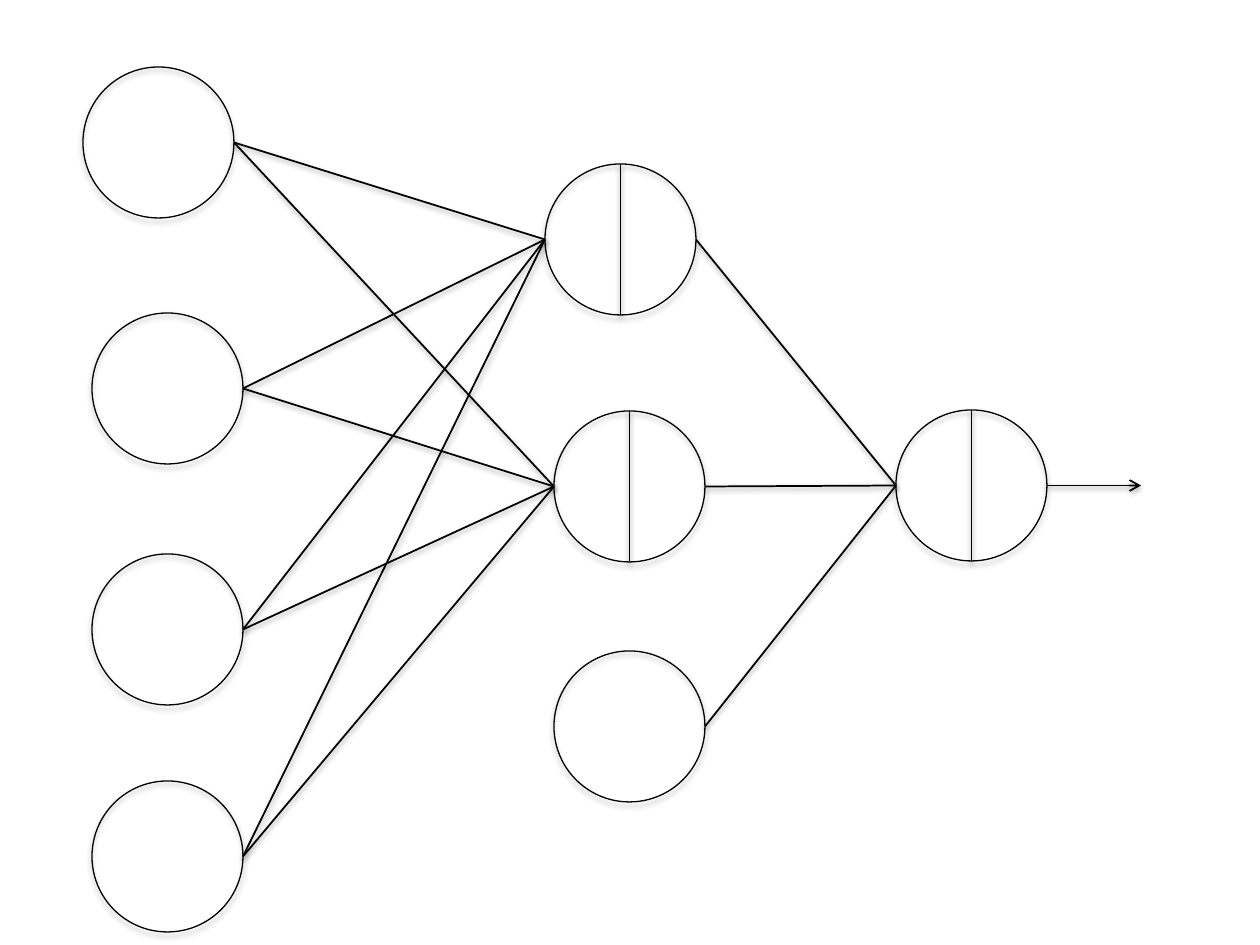
"""Draw a feed-forward network with four inputs, three hidden nodes and one output."""
from dataclasses import dataclass

from lxml import etree
from pptx import Presentation
from pptx import util as u
from pptx.dml.color import RGBColor
from pptx.enum import shapes
from pptx.oxml.ns import qn

INPUTS = [(83, 67), (92, 313), (92, 554), (92, 781)]
HIDDEN = [(545, 164), (554, 411)]
BIAS = (554, 651)
OUTPUT = (896, 410)
DIAMETER = 151
ARROW_LENGTH = 94
SLIDE_SIZE = (1260, 945)
PX = u.Inches(1) / 126


@dataclass(frozen=True)
class Theme:
    ink: str = "000000"
    node_line: float = 0.75
    link_line: float = 1
    shadow_blur: float = 3.1
    node_shadow: tuple = (1.8, 35)
    link_shadow: tuple = (1.6, 38)


THEME = Theme()


def emu(px):
    return u.Emu(round(px * PX))


def style(item, width, shadow):
    distance, opacity = shadow
    item.line.color.rgb = RGBColor.from_string(THEME.ink)
    item.line.width = u.Pt(width)
    effects = etree.SubElement(item._element.spPr, qn("a:effectLst"))
    outer = etree.SubElement(
        effects, qn("a:outerShdw"), blurRad=str(u.Pt(THEME.shadow_blur)),
        dist=str(u.Pt(distance)), dir="5400000", rotWithShape="0")
    color = etree.SubElement(outer, qn("a:srgbClr"), val=THEME.ink)
    etree.SubElement(color, qn("a:alpha"), val=str(opacity * 1000))


def add_node(slide, corner):
    left, top = map(emu, corner)
    node = slide.shapes.add_shape(
        shapes.MSO_SHAPE.OVAL, left, top, emu(DIAMETER), emu(DIAMETER))
    node.fill.background()
    style(node, THEME.node_line, THEME.node_shadow)


def add_link(slide, start, end):
    link = slide.shapes.add_connector(
        shapes.MSO_CONNECTOR.STRAIGHT, *map(emu, (*start, *end)))
    style(link, THEME.link_line, THEME.link_shadow)
    return link


def anchor(corner, across, down):
    return corner[0] + across * DIAMETER, corner[1] + down * DIAMETER


def connect(slide, source, target):
    add_link(slide, anchor(source, 1, 0.5), anchor(target, 0, 0.5))


def main():
    deck = Presentation()
    deck.slide_width, deck.slide_height = map(emu, SLIDE_SIZE)
    slide = deck.slides.add_slide(deck.slide_layouts[6])

    for corner in [*INPUTS, *HIDDEN, BIAS, OUTPUT]:
        add_node(slide, corner)
    for corner in [*HIDDEN, OUTPUT]:
        add_link(slide, anchor(corner, 0.5, 0), anchor(corner, 0.5, 1))
    for source in INPUTS:
        for target in HIDDEN:
            connect(slide, source, target)
    for source in [*HIDDEN, BIAS]:
        connect(slide, source, OUTPUT)

    start = anchor(OUTPUT, 1, 0.5)
    arrow = add_link(slide, start, (start[0] + ARROW_LENGTH, start[1]))
    etree.SubElement(arrow.line._get_or_add_ln(), qn("a:tailEnd"), type="arrow")
    deck.save("out.pptx")


if __name__ == "__main__":
    main()
